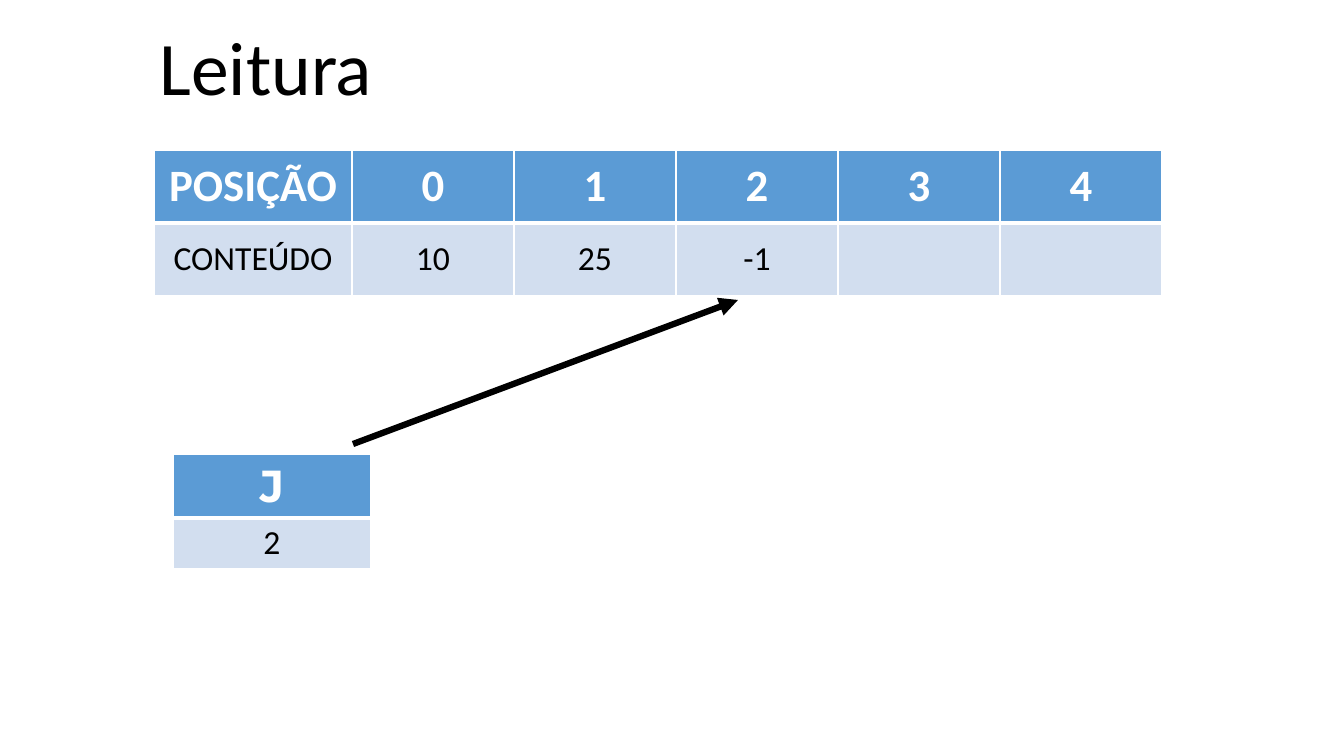
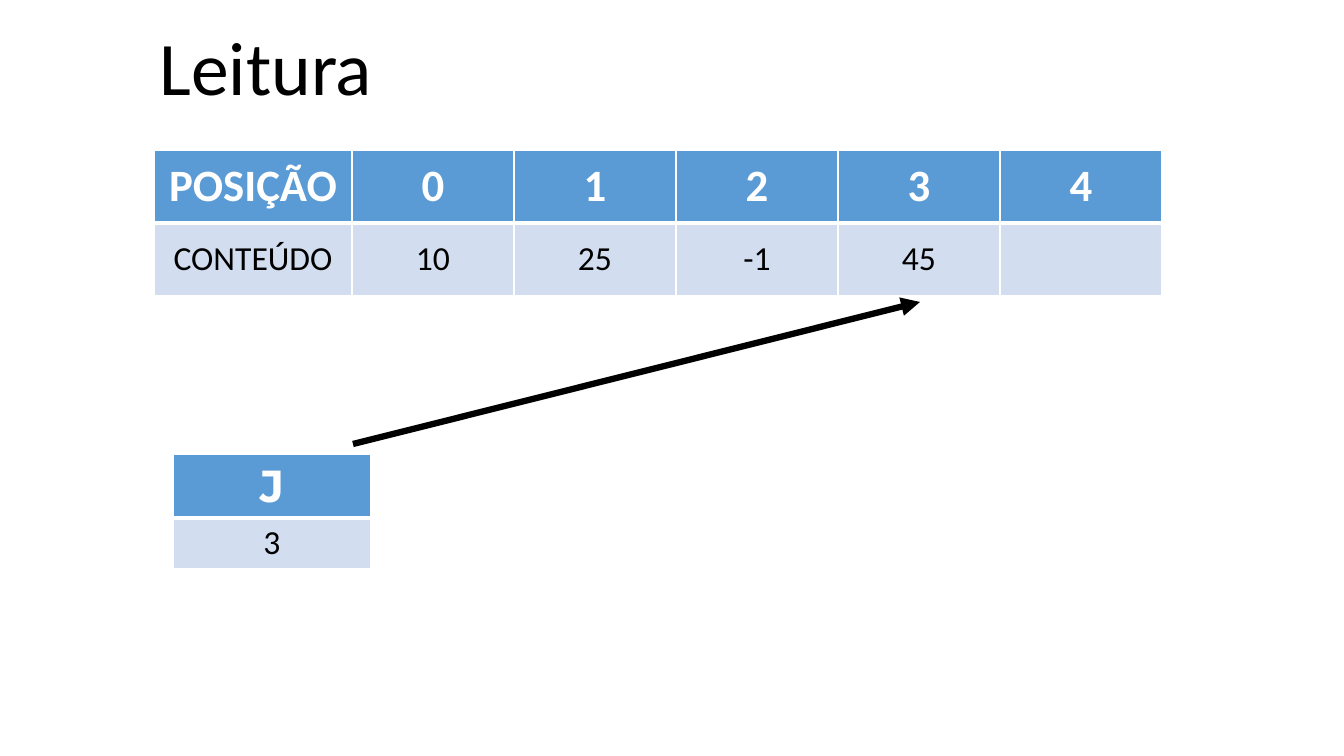
import dataclasses

import lxml.etree
import pptx
import pptx.dml.color
import pptx.enum.shapes
import pptx.enum.text
import pptx.oxml.ns
import pptx.slide
import pptx.table
import pptx.util

EMU_PER_PIXEL = 914400 / 100.8


@dataclasses.dataclass(frozen=True)
class Theme:
    header_fill: str = "5B9BD5"
    body_fill: str = "D2DEEF"
    light: str = "FFFFFF"
    dark: str = "000000"
    font: str = "Calibri"
    variable_font: str = "Montserrat"
    title_size: int = 54
    header_size: int = 32
    body_size: int = 24
    rule_width: float = 1
    header_rule_width: float = 3
    arrow_width: float = 4.5


@dataclasses.dataclass(frozen=True)
class Grid:
    """Place and measures of a two-row table, in px."""
    left: int
    top: int
    columns: tuple[int, ...]
    rows: tuple[int, int]
    header_font: str
    anchor: pptx.enum.text.MSO_ANCHOR


@dataclasses.dataclass(frozen=True)
class ReadingStep:
    """One state of the vector, the index J and the cell it points at."""
    contents: tuple[str, ...]
    index: str
    arrow_tip: tuple[int, int]


THEME = Theme()
VECTOR = Grid(154, 150, (198,) + (162,) * 5, (73, 73), THEME.font,
              pptx.enum.text.MSO_ANCHOR.MIDDLE)
INDEX = Grid(173, 454, (198,), (64, 51), THEME.variable_font,
             pptx.enum.text.MSO_ANCHOR.TOP)
POSITIONS = ("POSIÇÃO", "0", "1", "2", "3", "4")
ARROW_START = (353, 444)
STEPS = (
    ReadingStep(("CONTEÚDO", "10", "25", "-1", "", ""), "2", (738, 300)),
    ReadingStep(("CONTEÚDO", "10", "25", "-1", "45", ""), "3", (920, 302)),
)


def px(length: int) -> pptx.util.Emu:
    return pptx.util.Emu(round(length * EMU_PER_PIXEL))


def rgb(color: str) -> pptx.dml.color.RGBColor:
    return pptx.dml.color.RGBColor.from_string(color)


def write(frame, text: str, size: int, color: str,
          font: str = THEME.font, bold: bool = False) -> None:
    para = frame.paragraphs[0]
    para.alignment = pptx.enum.text.PP_ALIGN.CENTER
    para.font.name = font
    para.font.size = pptx.util.Pt(size)
    para.font.bold = bold
    para.font.color.rgb = rgb(color)
    if text:
        para.add_run().text = text


def set_borders(cell: pptx.table._Cell, top: float, bottom: float) -> None:
    properties = cell._tc.get_or_add_tcPr()
    widths = {"lnL": THEME.rule_width, "lnR": THEME.rule_width,
              "lnT": top, "lnB": bottom}
    # Border lines come before the fill in the cell properties
    for position, (side, width) in enumerate(widths.items()):
        line = lxml.etree.Element(pptx.oxml.ns.qn(f"a:{side}"),
                                  w=str(pptx.util.Pt(width)))
        fill = lxml.etree.SubElement(line, pptx.oxml.ns.qn("a:solidFill"))
        lxml.etree.SubElement(fill, pptx.oxml.ns.qn("a:srgbClr"), val=THEME.light)
        properties.insert(position, line)


def add_grid(page: pptx.slide.Slide, grid: Grid,
             header: tuple[str, ...], body: tuple[str, ...]) -> None:
    table = page.shapes.add_table(
        2, len(grid.columns), px(grid.left), px(grid.top),
        px(sum(grid.columns)), px(sum(grid.rows))).table
    table.horz_banding = False
    for column, width in zip(table.columns, grid.columns):
        column.width = px(width)
    for row, height in zip(table.rows, grid.rows):
        row.height = px(height)

    for row_number, texts in enumerate((header, body)):
        is_header = row_number == 0
        for column_number, text in enumerate(texts):
            cell = table.cell(row_number, column_number)
            cell.vertical_anchor = grid.anchor
            cell.fill.solid()
            cell.fill.fore_color.rgb = rgb(
                THEME.header_fill if is_header else THEME.body_fill)
            if is_header:
                set_borders(cell, THEME.rule_width, THEME.header_rule_width)
                write(cell.text_frame, text, THEME.header_size, THEME.light,
                      grid.header_font, bold=True)
            else:
                set_borders(cell, THEME.header_rule_width, THEME.rule_width)
                write(cell.text_frame, text, THEME.body_size, THEME.dark)


def add_title(page: pptx.slide.Slide, text: str) -> None:
    box = page.shapes.add_textbox(px(148), px(15), px(236), px(102))
    box.text_frame.word_wrap = False
    box.text_frame.auto_size = pptx.enum.text.MSO_AUTO_SIZE.SHAPE_TO_FIT_TEXT
    write(box.text_frame, text, THEME.title_size, THEME.dark)


def add_arrow(page: pptx.slide.Slide, start: tuple[int, int],
              tip: tuple[int, int]) -> None:
    arrow = page.shapes.add_connector(
        pptx.enum.shapes.MSO_CONNECTOR.STRAIGHT, *map(px, start + tip))
    arrow.line.color.rgb = rgb(THEME.dark)
    arrow.line.width = pptx.util.Pt(THEME.arrow_width)
    lxml.etree.SubElement(arrow.line._get_or_add_ln(),
                          pptx.oxml.ns.qn("a:tailEnd"), type="triangle")
    lxml.etree.SubElement(arrow._element.spPr, pptx.oxml.ns.qn("a:effectLst"))


def main() -> None:
    deck = pptx.Presentation()
    deck.slide_width, deck.slide_height = px(1344), px(756)
    for step in STEPS:
        page = deck.slides.add_slide(deck.slide_layouts[6])
        # Vector and title
        add_grid(page, VECTOR, POSITIONS, step.contents)
        add_title(page, "Leitura")
        # Index and the cell it points at
        add_grid(page, INDEX, ("J",), (step.index,))
        add_arrow(page, ARROW_START, step.arrow_tip)
    deck.save("out.pptx")


if __name__ == "__main__":
    main()
